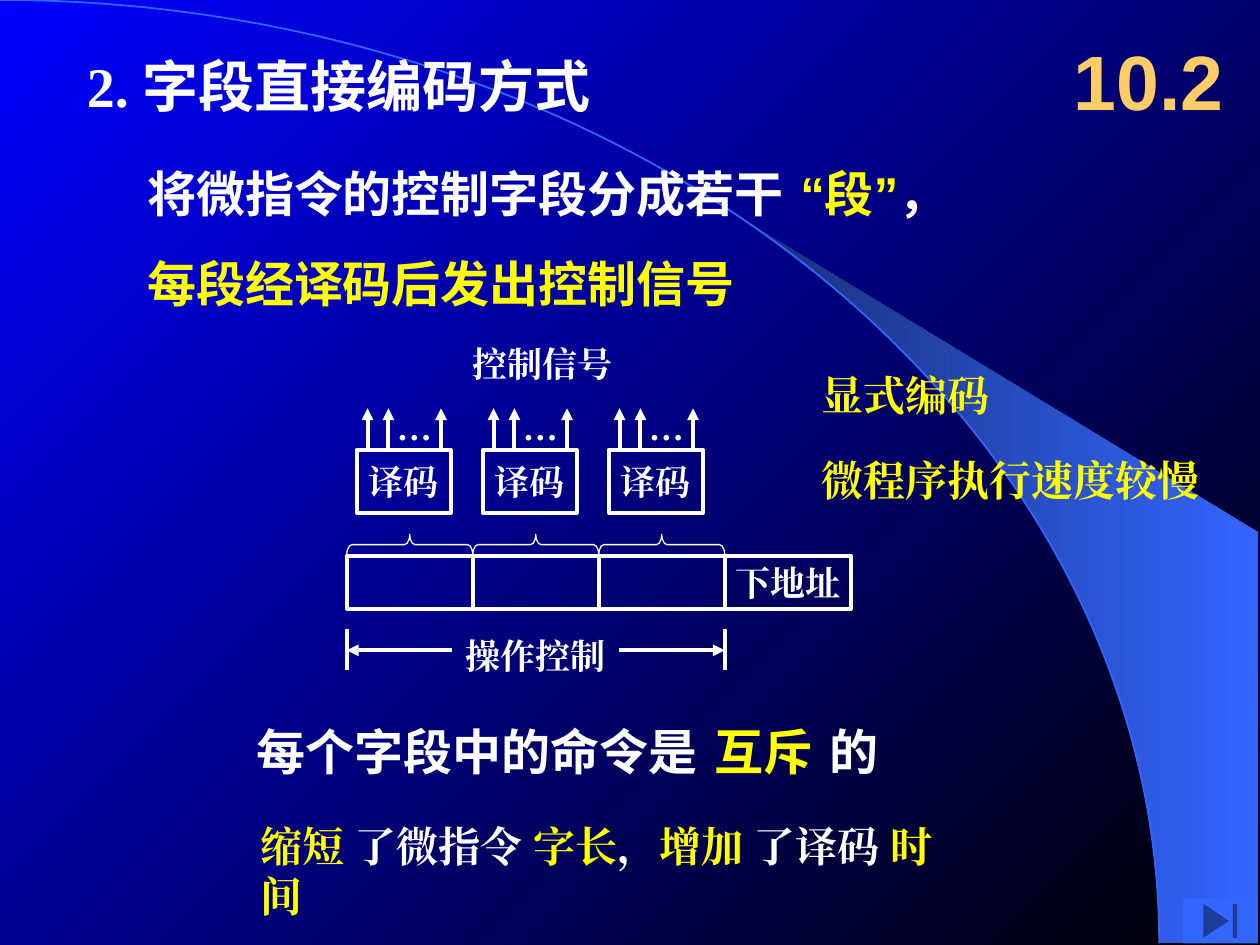
from math import cos, radians, sin

from lxml.etree import SubElement
from pptx import Presentation
from pptx.dml.color import RGBColor
from pptx.enum.shapes import MSO_CONNECTOR as Line, MSO_SHAPE as Shape
from pptx.enum.text import MSO_ANCHOR as Anchor, PP_ALIGN as Align
from pptx.oxml.ns import qn
from pptx.util import Cm, Pt

COLORS = {"white": "FFFFFF", "yellow": "FFFF00", "gold": "FFCC66",
          "blue": "3366FF", "navy": "182F76", "bright": "0000FF", "black": "000000"}
SERIF, SANS, ARIAL = "Times New Roman", "DejaVu Sans", "Arial"


def rgb(name):
    return RGBColor.from_string(COLORS[name])


class Board:
    """The slide being drawn and its style."""

    def __init__(self, slide, line_width=2.25):
        self.slide = slide
        self.shapes = slide.shapes
        self.line_width = line_width

    def gradient(self, fill, start, end, angle):
        fill.gradient()
        fill.gradient_angle = angle
        for stop, color in zip(fill.gradient_stops, (start, end)):
            stop.color.rgb = rgb(color)

    def font(self, font, name=None, color=None):
        if color:
            font.color.rgb = rgb(color)
        if name:
            font.name = name
            SubElement(font._rPr, qn("a:ea")).set("typeface", name)

    def fill_text(self, tf, paragraphs, size, name, color, align=None, before=0):
        """Each paragraph is a list of runs: (text, color, font), the last two optional."""
        for i, runs in enumerate(paragraphs):
            p = tf.add_paragraph() if i else tf.paragraphs[0]
            if align is not None:
                p.alignment = align
            if i and before:
                p.space_before = Pt(before)
            p.font.size, p.font.bold = Pt(size), True
            self.font(p.font, name, color)
            for text, run_color, run_name in ((*run, None, None)[:3] for run in runs):
                r = p.add_run()
                r.text = text
                self.font(r.font, run_name, run_color)

    def text(self, box, paragraphs, size=20, name=SERIF, color="white",
             wrap=False, anchor=Anchor.TOP, before=0):
        tf = self.shapes.add_textbox(*map(Cm, box)).text_frame
        tf.word_wrap, tf.vertical_anchor = wrap, anchor
        self.fill_text(tf, paragraphs, size, name, color, before=before)

    def outline(self, kind, box, width=None, label=None):
        sp = self.shapes.add_shape(kind, *map(Cm, box))
        sp.shadow.inherit = False
        sp.fill.background()
        sp.line.color.rgb = rgb("white")
        sp.line.width = Pt(width or self.line_width)
        if label:
            tf = sp.text_frame
            tf.word_wrap, tf.vertical_anchor = False, Anchor.MIDDLE
            self.fill_text(tf, [[(label,)]], 20, SERIF, "white", Align.CENTER)
        return sp

    def line(self, x1, y1, x2, y2, arrow=False):
        c = self.shapes.add_connector(Line.STRAIGHT, *map(Cm, (x1, y1, x2, y2)))
        c.line.color.rgb = rgb("white")
        c.line.width = Pt(self.line_width)
        if arrow:
            SubElement(c.line._get_or_add_ln(), qn("a:tailEnd")).set("type", "triangle")
        SubElement(c._element.spPr, qn("a:effectLst"))

    def freeform(self, points, close):
        points = [(Cm(x), Cm(y)) for x, y in points]
        fb = self.shapes.build_freeform(*points[0])
        fb.add_line_segments(points[1:], close=close)
        sp = fb.convert_to_shape()
        sp.shadow.inherit = False
        return sp


def arc(start, step):
    """Points on the quarter ellipse that sweeps from top left to bottom right."""
    return [(23.37 * sin(radians(a)), 19.02 * (1 - cos(radians(a))))
            for a in range(start, 91, step)]


def backdrop(b):
    b.gradient(b.slide.background.fill, "bright", "black", 315)
    wedge = b.freeform(arc(40, 2) + [(25.37, 19.02), (25.37, 10.74)], True)
    b.gradient(wedge.fill, "navy", "blue", 0)
    wedge.line.fill.background()
    edge = b.freeform(arc(0, 1), False)
    edge.fill.background()
    edge.line.color.rgb = rgb("blue")
    edge.line.width = Pt(1)


def diagram(b):
    left, pitch, fields = 6.99, 2.54, 3
    right = left + fields * pitch
    # Decoders above the control fields
    for x in (left + i * pitch for i in range(fields)):
        b.outline(Shape.RECTANGLE, (x + 0.2, 9.07, 1.9, 1.27), label="译码")
        for dx in (0.42, 0.84, 1.9):
            b.line(x + dx, 9.07, x + dx, 8.23, arrow=True)
        b.text((x + 0.76, 8.05, 1.22, 1.12), [[("…",)]])
        b.outline(Shape.RECTANGLE, (x, 11.2, pitch, 1.07))
        brace = b.outline(Shape.LEFT_BRACE, (x + 1.06, 9.71, 0.42, pitch), 0.75)
        brace.rotation = 90
        brace.adjustments[0] = 0.25
    b.outline(Shape.RECTANGLE, (right, 11.2, pitch, 1.07), label="下地址")
    # Span of the operation control part
    for end, inner in ((left, 9.12), (right, 12.47)):
        b.line(end, 12.67, end, 13.51)
        b.line(inner, 13.11, end, 13.11, arrow=True)
    b.text((9.14, 12.67, 3.33, 1.12), [[("操作控制",)]])
    b.text((9.27, 6.78, 3.33, 1.12), [[("控制信号",)]])


def main():
    prs = Presentation()
    prs.slide_width, prs.slide_height = Cm(25.4), Cm(19.05)
    b = Board(prs.slides.add_slide(prs.slide_layouts[6]))
    backdrop(b)

    # Heading and introduction
    b.text((1.5, 0.91, 22, 1.63), [[("2. ", None, SERIF), ("字段直接编码方式",)]],
           32, SANS, wrap=True)
    b.text((2.72, 3.18, 21.21, 3.25),
           [[("将微指令的控制字段分成若干 ",), ("“", "yellow", ARIAL), ("段", "yellow"),
             ("”", "yellow", ARIAL), ("，",)],
            [("每段经译码后发出控制信号", "yellow")]],
           28, SANS, wrap=True, before=17.5)
    b.text((4.93, 14.43, 14.6, 1.45),
           [[("每个字段中的命令是 ",), ("互斥 ", "yellow"), ("的",)]], 28, SANS, wrap=True)

    diagram(b)

    # Conclusions
    b.text((5, 16.41, 14.81, 1.27),
           [[("缩短 ",), ("了微指令 ", "white"), ("字长",), ("，", "white"),
             ("增加 ",), ("了译码 ", "white"), ("时间",)]], 24, color="yellow")
    b.text((16.31, 9.04, 8.13, 1.27), [[("微程序执行速度较慢",)]], 24, color="yellow")
    b.text((21.39, 0.43, 4.01, 2.34), [[("10.2",)]], 44, ARIAL, "gold",
           wrap=True, anchor=Anchor.MIDDLE)
    b.text((16.31, 7.32, 5.99, 1.27), [[("显式编码",)]], 24, color="yellow", wrap=True)

    # Navigation button
    button = b.outline(Shape.ACTION_BUTTON_END, (23.85, 18.11, 1.5, 0.91))
    button.fill.solid()
    button.fill.fore_color.rgb = rgb("blue")
    button.line.fill.background()

    prs.save("out.pptx")


if __name__ == "__main__":
    main()
